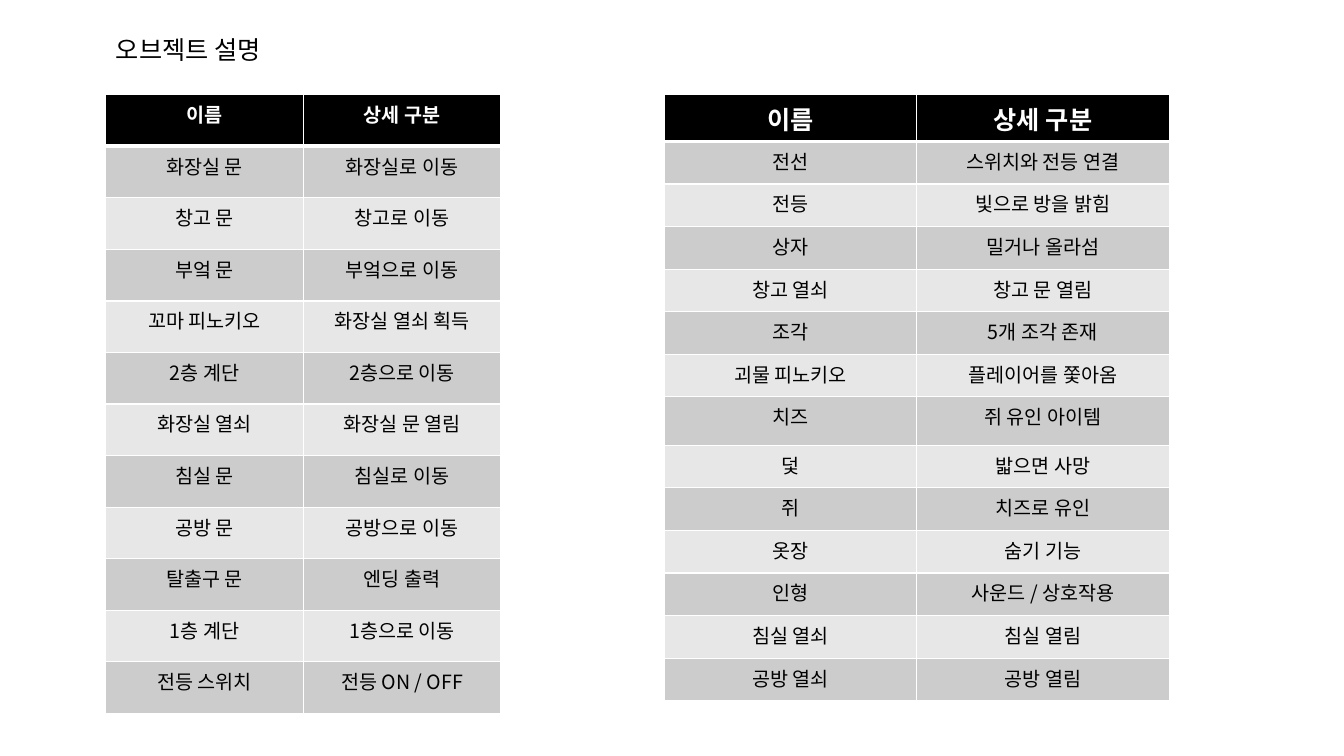
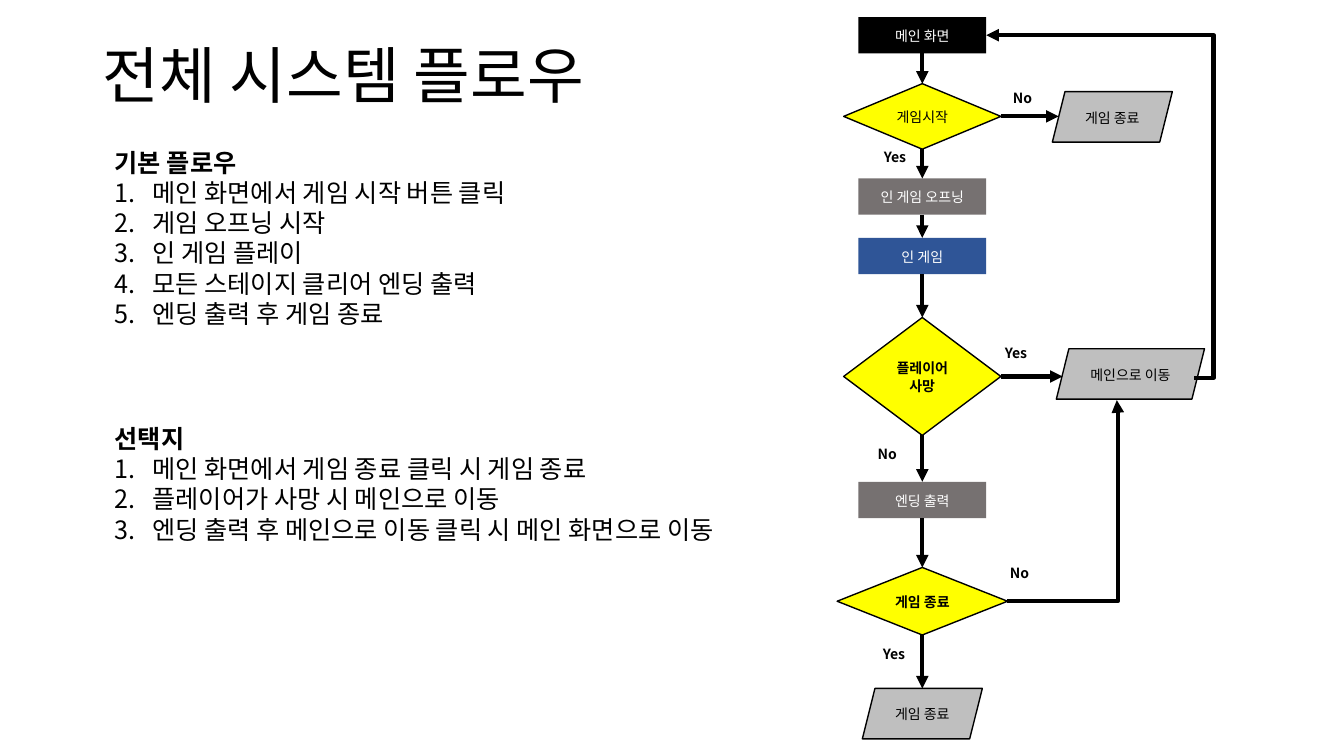
from dataclasses import dataclass
from itertools import pairwise

from lxml import etree
from pptx import Presentation
from pptx.dml.color import RGBColor
from pptx.enum.shapes import MSO_CONNECTOR, MSO_SHAPE
from pptx.enum.text import MSO_ANCHOR, MSO_AUTO_SIZE, PP_ALIGN
from pptx.oxml.ns import qn
from pptx.util import Emu, Pt

RECTANGLE = MSO_SHAPE.RECTANGLE
DIAMOND = MSO_SHAPE.DIAMOND
PARALLELOGRAM = MSO_SHAPE.PARALLELOGRAM
STRAIGHT = MSO_CONNECTOR.STRAIGHT
ELBOW = MSO_CONNECTOR.ELBOW
LEFT, CENTER, JUSTIFY = PP_ALIGN.LEFT, PP_ALIGN.CENTER, PP_ALIGN.JUSTIFY
TOP, MIDDLE = MSO_ANCHOR.TOP, MSO_ANCHOR.MIDDLE
NO_AUTOFIT = MSO_AUTO_SIZE.NONE
SIDE_TOP, SIDE_BOTTOM, SIDE_RIGHT = 0, 2, 3

UNIT = 76200
COLUMNS, ROWS = 160, 90
TITLE_ONLY = 5
FONT = "Noto Sans CJK KR"
COLORS = {
    "black": "000000",
    "white": "FFFFFF",
    "band_dark": "CCCCCC",
    "band_light": "E7E7E7",
    "decision": "FFFF00",
    "terminal": "BFBFBF",
    "scene": "767171",
    "play": "2F5597",
}
AXIS = 109.8
SLANT = 0.25
LIST_INDENT = 4.5


@dataclass(frozen=True)
class ObjectTable:
    left: float
    column_width: float
    row_height: float
    header_size: int
    entries: list[tuple[str, str]]
    tall_rows: dict[int, float]


@dataclass(frozen=True)
class Node:
    text: str
    top: float
    width: float = 15.24
    height: float = 4.32
    kind: int = RECTANGLE
    fill: str = "scene"
    ink: str = "white"
    outlined: bool = False
    bold: bool = False
    center: float = AXIS

    @property
    def left(self) -> float:
        return self.center - self.width / 2

    @property
    def right(self) -> float:
        return self.center + self.width / 2

    @property
    def middle(self) -> float:
        return self.top + self.height / 2

    @property
    def bottom(self) -> float:
        return self.top + self.height


@dataclass(frozen=True)
class Label:
    text: str
    left: float
    top: float


@dataclass(frozen=True)
class Steps:
    heading: str
    items: list[str]
    top: float
    width: float
    height: float


HEADER = ("이름", "상세 구분")
TABLES = [
    ObjectTable(12.6, 23.52, 6.14, 14, [
        ("화장실 문", "화장실로 이동"),
        ("창고 문", "창고로 이동"),
        ("부엌 문", "부엌으로 이동"),
        ("꼬마 피노키오", "화장실 열쇠 획득"),
        ("2층 계단", "2층으로 이동"),
        ("화장실 열쇠", "화장실 문 열림"),
        ("침실 문", "침실로 이동"),
        ("공방 문", "공방으로 이동"),
        ("탈출구 문", "엔딩 출력"),
        ("1층 계단", "1층으로 이동"),
        ("전등 스위치", "전등 ON / OFF"),
    ], {}),
    ObjectTable(79.08, 30.06, 5.07, 18, [
        ("전선", "스위치와 전등 연결"),
        ("전등", "빛으로 방을 밝힘"),
        ("상자", "밀거나 올라섬"),
        ("창고 열쇠", "창고 문 열림"),
        ("조각", "5개 조각 존재"),
        ("괴물 피노키오", "플레이어를 쫓아옴"),
        ("치즈", "쥐 유인 아이템"),
        ("덫", "밟으면 사망"),
        ("쥐", "치즈로 유인"),
        ("옷장", "숨기 기능"),
        ("인형", "사운드 / 상호작용"),
        ("침실 열쇠", "침실 열림"),
        ("공방 열쇠", "공방 열림"),
    ], {7: 5.76}),
]


def decision(text: str, top: float, width: float, height: float, bold: bool) -> Node:
    return Node(text, top, width, height, DIAMOND, "decision", "black", True, bold)


def terminal(text: str, top: float, width: float = 14.28, center: float = AXIS) -> Node:
    return Node(text, top, width, 6, PARALLELOGRAM, "terminal", "black", True, center=center)


MAIN = Node("메인 화면", 2.04, fill="black")
START = decision("게임시작", 9.96, 18.72, 7.8, False)
DEATH = decision("플레이어 사망", 37.8, 18.72, 14.04, True)
EXIT = decision("게임 종료", 67.56, 20.28, 8.04, True)
QUIT = terminal("게임 종료", 10.92, center=132.42)
RETURN = terminal("메인으로 이동", 41.52, 17.64, 134.58)
SPINE = [
    MAIN,
    START,
    Node("인 게임 오프닝", 21.24),
    Node("인 게임", 28.32, fill="play"),
    DEATH,
    Node("엔딩 출력", 57.36),
    EXIT,
    terminal("게임 종료", 81.96),
]
BRANCHES = [(START, QUIT), (DEATH, RETURN)]
LABELS = [
    Label("No", 119.4, 9.96),
    Label("Yes", 104.04, 16.92),
    Label("No", 103.32, 52.32),
    Label("Yes", 118.44, 40.32),
    Label("No", 119.04, 66.48),
    Label("Yes", 103.92, 76.08),
]
STEPS = [
    Steps("기본 플로우", [
        "메인 화면에서 게임 시작 버튼 클릭",
        "게임 오프닝 시작",
        "인 게임 플레이",
        "모든 스테이지 클리어 엔딩 출력",
        "엔딩 출력 후 게임 종료",
    ], 16.92, 67.56, 23.04),
    Steps("선택지", [
        "메인 화면에서 게임 종료 클릭 시 게임 종료",
        "플레이어가 사망 시 메인으로 이동",
        "엔딩 출력 후 메인으로 이동 클릭 시 메인 화면으로 이동",
    ], 49.8, 83.4, 15.72),
]


def grid(*cells: float) -> list[Emu]:
    return [Emu(round(cell * UNIT)) for cell in cells]


def color(name: str) -> RGBColor:
    return RGBColor.from_string(COLORS[name])


def format_para(para, size: float, ink: str = "black", bold: bool = False, align=LEFT) -> None:
    para.alignment = align
    for span in para.runs:
        span.font.size = Pt(size)
        span.font.bold = bold
        span.font.color.rgb = color(ink)
        span.font.name = FONT
        etree.SubElement(span.font._element, qn("a:ea"), typeface=FONT)


def space_flow_text(para) -> None:
    para.line_spacing = 1.07
    para.space_after = Pt(8)


def add_page(deck, title: str, size: float, area: tuple, spacing: float):
    page = deck.slides.add_slide(deck.slide_layouts[TITLE_ONLY])
    box = page.shapes.title
    box.left, box.top, box.width, box.height = grid(*area)
    frame = box.text_frame
    frame.text = title
    frame.word_wrap = True
    frame.auto_size = NO_AUTOFIT
    frame.vertical_anchor = TOP
    frame.paragraphs[0].line_spacing = spacing
    format_para(frame.paragraphs[0], size)
    return page


def set_borders(cell, top: float, bottom: float) -> None:
    properties = cell._tc.get_or_add_tcPr()
    widths = {"a:lnL": 1, "a:lnR": 1, "a:lnT": top, "a:lnB": bottom}
    for position, (tag, width) in enumerate(widths.items()):
        line = etree.Element(qn(tag), w=str(Pt(width)))
        fill = etree.SubElement(line, qn("a:solidFill"))
        etree.SubElement(fill, qn("a:srgbClr"), val=COLORS["white"])
        properties.insert(position, line)


def add_object_table(page, plan: ObjectTable) -> None:
    entries = [HEADER, *plan.entries]
    heights = [plan.tall_rows.get(row, plan.row_height) for row in range(len(entries))]
    area = grid(plan.left, 11.28, plan.column_width * len(HEADER), sum(heights))
    table = page.shapes.add_table(len(entries), len(HEADER), *area).table
    for column in table.columns:
        column.width = grid(plan.column_width)[0]
    for row, (entry, height) in enumerate(zip(entries, heights)):
        table.rows[row].height = grid(height)[0]
        header = row == 0
        band = "black" if header else "band_dark" if row % 2 else "band_light"
        for column, text in enumerate(entry):
            cell = table.cell(row, column)
            cell.text_frame.text = text
            cell.fill.solid()
            cell.fill.fore_color.rgb = color(band)
            size, ink = (plan.header_size, "white") if header else (14, "black")
            format_para(cell.text_frame.paragraphs[0], size, ink, header, CENTER)
            set_borders(cell, 3 if row == 1 else 1, 3 if header else 1)


def add_node(page, node: Node):
    area = grid(node.left, node.top, node.width, node.height)
    shape = page.shapes.add_shape(node.kind, *area)
    shape.shadow.inherit = False
    shape.fill.solid()
    shape.fill.fore_color.rgb = color(node.fill)
    if node.outlined:
        shape.line.color.rgb = color("black")
        shape.line.width = Pt(1)
    else:
        shape.line.fill.background()
    frame = shape.text_frame
    frame.text = node.text
    frame.word_wrap = True
    frame.vertical_anchor = MIDDLE
    format_para(frame.paragraphs[0], 10, node.ink, node.bold, CENTER)
    space_flow_text(frame.paragraphs[0])
    return shape


def add_arrow(page, start: tuple, end: tuple, via: float | None = None):
    kind = STRAIGHT if via is None else ELBOW
    arrow = page.shapes.add_connector(kind, *grid(*start, *end))
    arrow.line.color.rgb = color("black")
    arrow.line.width = Pt(3)
    properties = arrow._element.spPr
    etree.SubElement(properties.find(qn("a:ln")), qn("a:tailEnd"), type="triangle")
    etree.SubElement(properties, qn("a:effectLst"))
    if via is not None:
        bend = round((via - start[0]) / (end[0] - start[0]) * 100000)
        guides = properties.find(qn("a:prstGeom")).find(qn("a:avLst"))
        etree.SubElement(guides, qn("a:gd"), name="adj1", fmla=f"val {bend}")
    return arrow


def add_text(page, area: tuple):
    frame = page.shapes.add_textbox(*grid(*area)).text_frame
    frame.word_wrap = True
    return frame


def add_label(page, label: Label) -> None:
    frame = add_text(page, (label.left, label.top, 5.52, 4.56))
    frame.text = label.text
    format_para(frame.paragraphs[0], 10, bold=True, align=JUSTIFY)
    space_flow_text(frame.paragraphs[0])


def add_steps(page, steps: Steps) -> None:
    frame = add_text(page, (12.48, steps.top, steps.width, steps.height))
    frame.text = "\n".join([steps.heading, *steps.items])
    heading, *items = frame.paragraphs
    format_para(heading, 18, bold=True)
    indent = grid(LIST_INDENT)[0]
    for para in items:
        format_para(para, 18)
        properties = para._p.get_or_add_pPr()
        properties.set("marL", str(indent))
        properties.set("indent", str(-indent))
        etree.SubElement(properties, qn("a:buAutoNum"), type="arabicPeriod")


def add_flow(page) -> None:
    shapes = {node: add_node(page, node) for node in [*SPINE, QUIT, RETURN]}
    for upper, lower in pairwise(SPINE):
        arrow = add_arrow(page, (AXIS, upper.bottom), (AXIS, lower.top))
        arrow.begin_connect(shapes[upper], SIDE_BOTTOM)
        if lower.kind != PARALLELOGRAM:
            arrow.end_connect(shapes[lower], SIDE_TOP)
    for source, target in BRANCHES:
        edge = target.left + SLANT * target.height / 2
        arrow = add_arrow(page, (source.right, source.middle), (edge, source.middle))
        arrow.begin_connect(shapes[source], SIDE_RIGHT)
    add_arrow(page, (142.2, 45), (MAIN.right, MAIN.middle), 144.48)
    add_arrow(page, (EXIT.right, EXIT.middle), (132.96, 47.64), 133.08)
    for label in LABELS:
        add_label(page, label)


def main() -> None:
    deck = Presentation()
    deck.slide_width, deck.slide_height = grid(COLUMNS, ROWS)
    objects = add_page(deck, "오브젝트 설명", 18, (12.6, 3.48, 39.48, 4.8), 1.0)
    for plan in TABLES:
        add_object_table(objects, plan)
    system = add_page(deck, "전체 시스템 플로우", 44, (11.04, 4.8, 138, 17.4), 0.9)
    for steps in STEPS:
        add_steps(system, steps)
    add_flow(system)
    deck.save("out.pptx")


if __name__ == "__main__":
    main()
